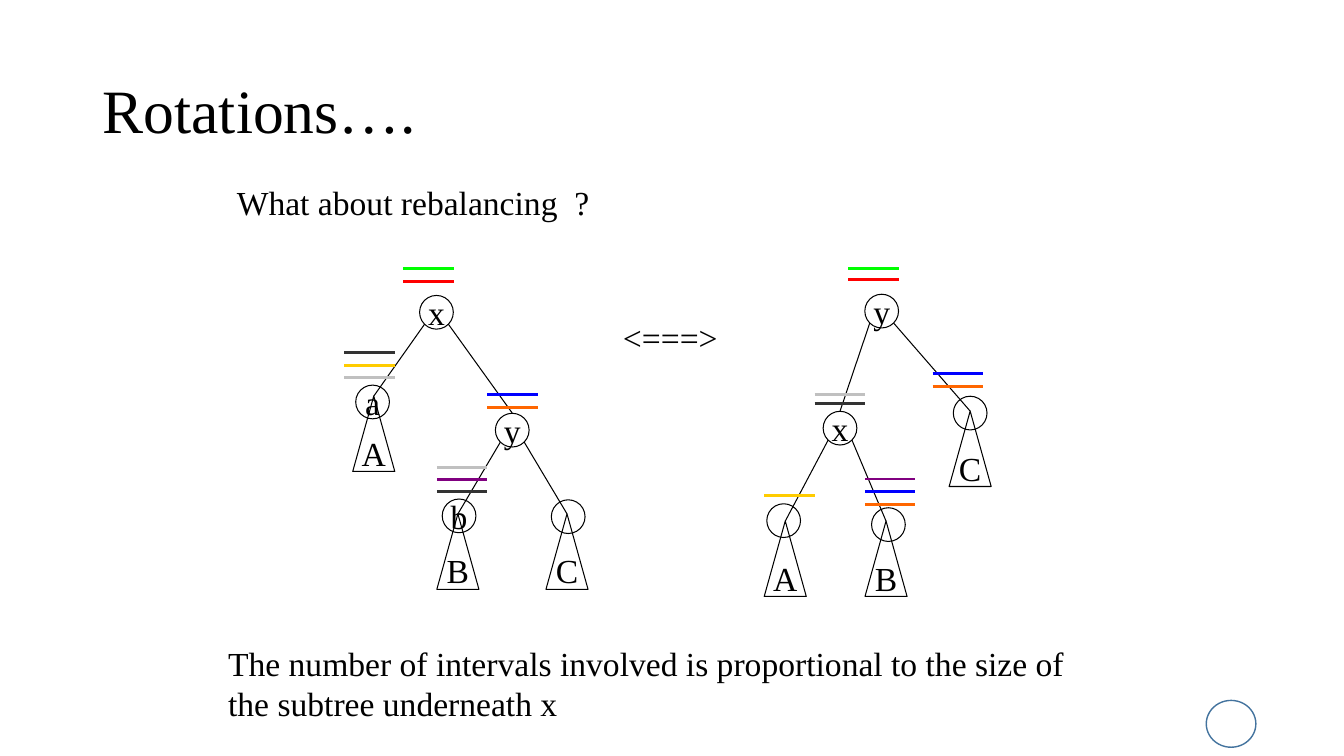
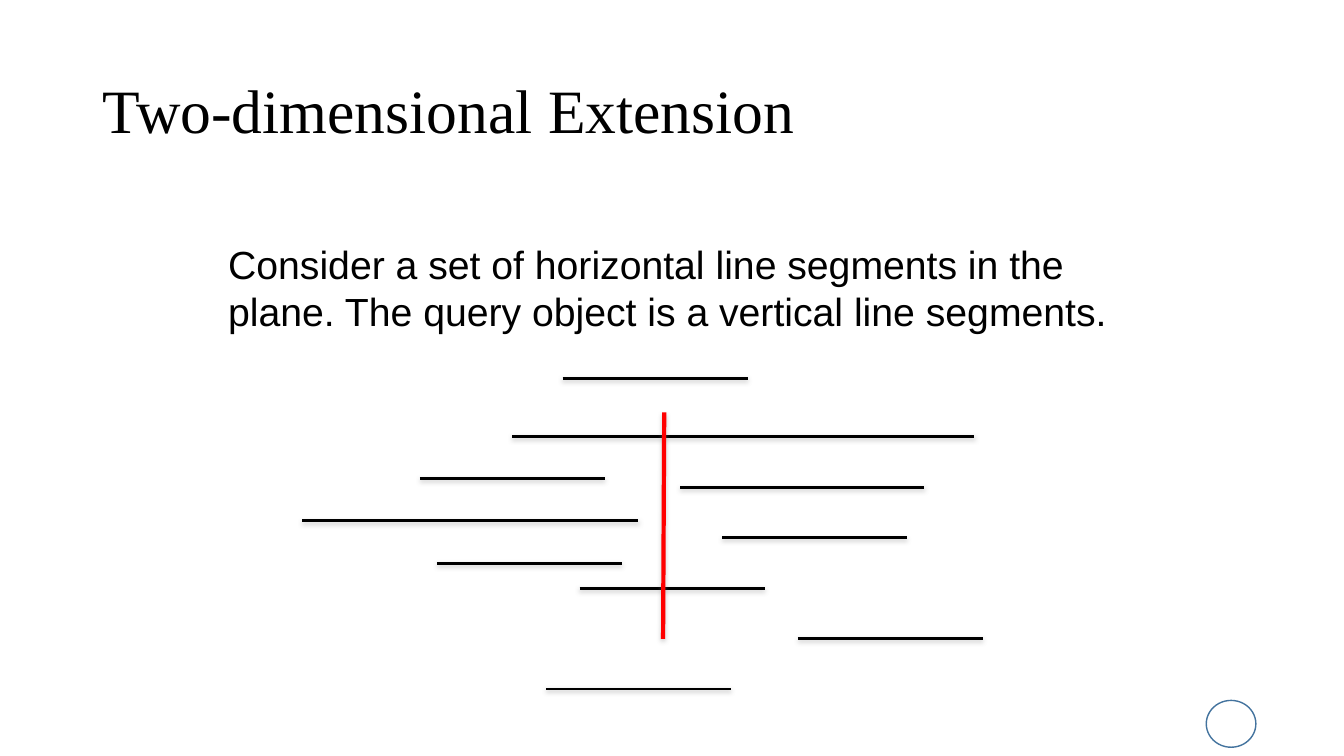
from lxml import etree
from pptx import Presentation
from pptx import util as u
from pptx.dml.color import RGBColor
from pptx.enum import shapes, text
from pptx.oxml import ns

BLACK, RED, GREEN, BLUE = "000000", "FF0000", "00FF00", "0000FF"
ORANGE, YELLOW, PURPLE = "FF6600", "FFCC00", "800080"
DARK, SILVER, STEEL = "333333", "C0C0C0", "43739E"
SERIF, SANS = "Times New Roman", "Arial"
KIND = shapes.MSO_SHAPE
NODE = 0.85
TREE_W, TREE_H = 1.06, 1.9
BAR = 1.27


def rgb(code):
    return RGBColor.from_string(code)


def add(node, tag, **attrs):
    child = etree.SubElement(node, ns.qn(tag))
    for name, value in attrs.items():
        child.set(name, str(value))
    return child


class Deck:
    def __init__(self):
        self.prs = Presentation()
        self.prs.slide_width = u.Cm(33.87)
        self.prs.slide_height = u.Cm(19.05)
        self.page = None

    def slide(self, title):
        self.page = self.prs.slides.add_slide(self.prs.slide_layouts[6])
        self.shape(KIND.OVAL, (30.4, 17.65, 1.25, 1.18), STEEL, 1)
        self.text(title, (2.34, 1.02, 29.21, 3.68), 44,
                  anchor=text.MSO_ANCHOR.MIDDLE, gap=0.9)

    def run(self, para, words, size, font):
        run = para.add_run()
        run.text = words
        run.font.size = u.Pt(size)
        run.font.name = font
        run.font.color.rgb = rgb(BLACK)

    def text(self, words, box, size=24, font=SERIF,
             anchor=text.MSO_ANCHOR.TOP, gap=1.0):
        frame = self.page.shapes.add_textbox(*map(u.Cm, box)).text_frame
        frame.word_wrap = True
        frame.vertical_anchor = anchor
        para = frame.paragraphs[0]
        para.line_spacing = gap
        self.run(para, words, size, font)

    def shape(self, kind, box, color=BLACK, width=0.75, label=""):
        item = self.page.shapes.add_shape(kind, *map(u.Cm, box))
        item.shadow.inherit = False
        item.fill.background()
        item.line.color.rgb = rgb(color)
        item.line.width = u.Pt(width)
        if label:
            frame = item.text_frame
            frame.word_wrap = False
            frame.vertical_anchor = text.MSO_ANCHOR.MIDDLE
            para = frame.paragraphs[0]
            para.alignment = text.PP_ALIGN.CENTER
            self.run(para, label, 24, SERIF)

    def line(self, start, end, color=BLACK, width=0.75, shadow=False):
        item = self.page.shapes.add_connector(
            shapes.MSO_CONNECTOR.STRAIGHT, *map(u.Cm, (*start, *end)))
        item.line.color.rgb = rgb(color)
        item.line.width = u.Pt(width)
        effect = add(item.element.spPr, "a:effectLst")
        if shadow:
            cast = add(effect, "a:outerShdw", blurRad=40000, dist=20000,
                       dir=5400000, rotWithShape=0)
            tint = add(cast, "a:srgbClr", val="808080")
            add(tint, "a:alpha", val=38000)

    def node(self, x, y, label=""):
        """Draw a circle centred on x, y."""
        half = NODE / 2
        self.shape(KIND.OVAL, (x - half, y - half, NODE, NODE), label=label)

    def tree(self, x, y, label):
        """Draw a subtree triangle with its tip at x, y."""
        self.shape(KIND.ISOSCELES_TRIANGLE,
                   (x - TREE_W / 2, y, TREE_W, TREE_H), label=label)

    def fork(self, x, y, left, right):
        """Join a node centred on x, y to the tops of its two children."""
        for side, end in ((-0.3, left), (0.3, right)):
            self.line((x + side, y + 0.3), end, BLACK)

    def bars(self, x, y, colors, gap=0.32):
        """Stack interval bars downwards from x, y."""
        for i, color in enumerate(colors):
            top = y + i * gap
            self.line((x, top), (x + BAR, top), color, 2)


def rotate(deck):
    deck.slide("Rotations….")
    deck.text("What about rebalancing  ?", (5.72, 4.45, 22.02, 1.27))
    deck.text("<===>", (15.45, 7.87, 2.97, 1.27))
    deck.text("The number of intervals involved is proportional to the size of "
              "the subtree underneath x", (5.5, 16.08, 22.02, 2.31))

    for x, y, label in (
            (11, 7.87, "x"), (12.91, 10.84, "y"), (9.39, 10.13, "a"),
            (11.57, 13, "b"), (14.32, 13.02, ""),
            (22.22, 7.84, "y"), (21.17, 10.79, "x"), (19.75, 13.12, ""),
            (22.39, 13.22, ""), (24.45, 10.41, "")):
        deck.node(x, y, label)

    before = {"A": (9.42, 9.98), "B": (11.54, 12.95), "C": (14.29, 12.95)}
    after = {"A": (19.79, 13.13), "B": (22.33, 13.13), "C": (24.45, 10.36)}
    for tips in (before, after):
        for label, tip in tips.items():
            deck.tree(*tip, label)

    deck.fork(11, 7.87, before["A"], (12.91, 10.41))
    deck.fork(12.91, 10.84, before["B"], before["C"])
    deck.fork(22.22, 7.84, (21.17, 10.36), after["C"])
    deck.fork(21.17, 10.79, after["A"], after["B"])

    deck.bars(10.16, 6.77, (GREEN, RED))
    deck.bars(8.68, 8.88, (DARK, YELLOW, SILVER))
    deck.bars(12.28, 9.95, (BLUE, ORANGE))
    deck.bars(11.01, 11.78, (SILVER, PURPLE, DARK), 0.3)
    deck.bars(21.38, 6.77, (GREEN, RED), 0.28)
    deck.bars(20.53, 9.95, (SILVER, DARK), 0.21)
    deck.bars(23.5, 9.42, (BLUE, ORANGE))
    deck.bars(19.26, 12.49, (YELLOW,))
    deck.bars(21.8, 12.07, (PURPLE, BLUE, ORANGE))


def extend(deck):
    deck.slide("Two-dimensional Extension")
    deck.text("Consider a set of horizontal line segments in the plane. "
              "The query object is a vertical line segments.",
              (5.5, 5.92, 23.06, 2.64), 28, SANS)
    short = 4.66
    for x, y, size in (
            (14.18, 9.53, short), (12.91, 11, 11.64), (10.58, 12.06, short),
            (17.15, 12.28, 6.14), (7.62, 13.12, 8.47), (18.2, 13.55, short),
            (11.01, 14.19, short), (14.61, 14.82, short),
            (20.11, 16.09, short), (13.76, 17.36, short)):
        deck.line((x, y), (x + size, y), BLACK, 2, True)
    deck.line((16.74, 10.39), (16.71, 16.1), RED, 3, True)


def main():
    deck = Deck()
    rotate(deck)
    extend(deck)
    deck.prs.save("out.pptx")


if __name__ == "__main__":
    main()
